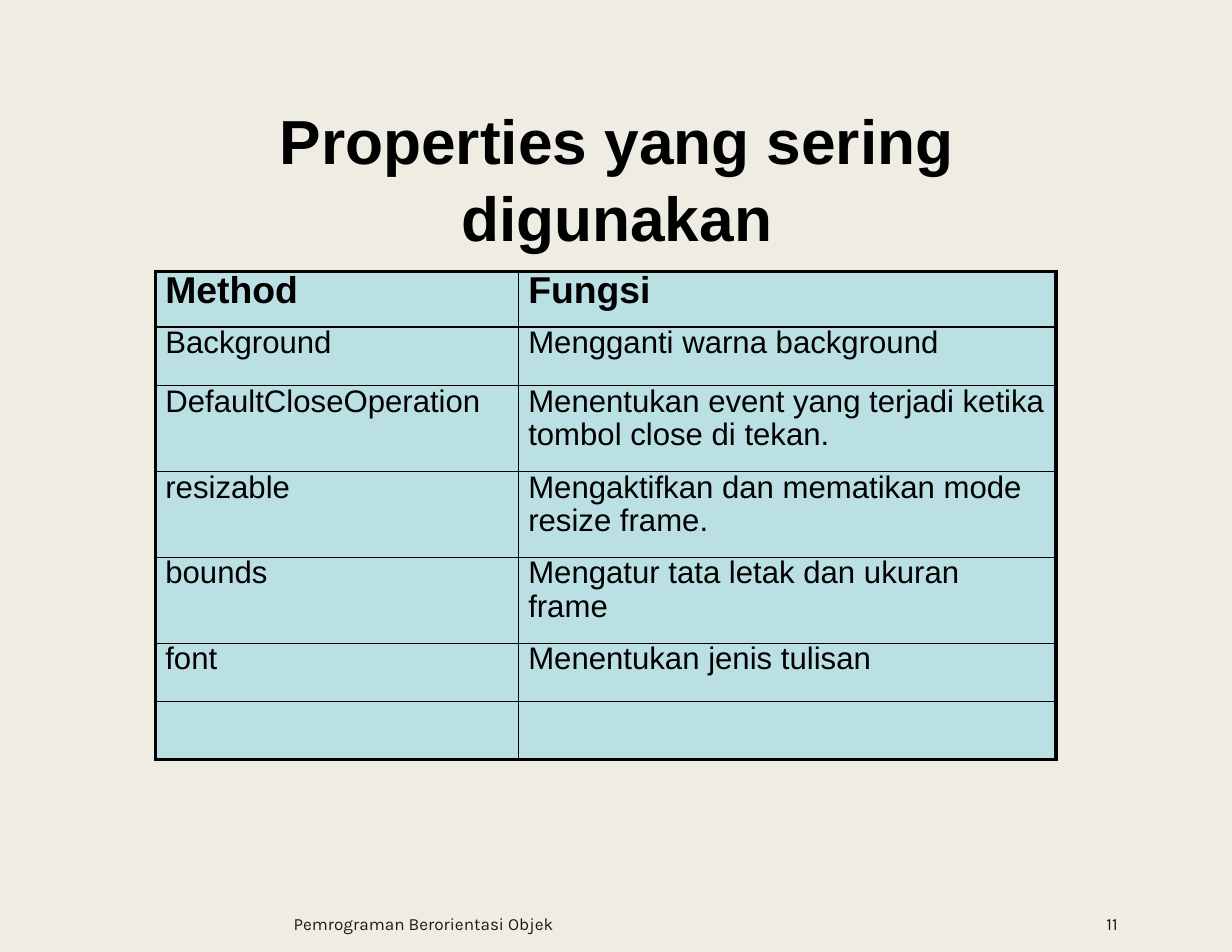
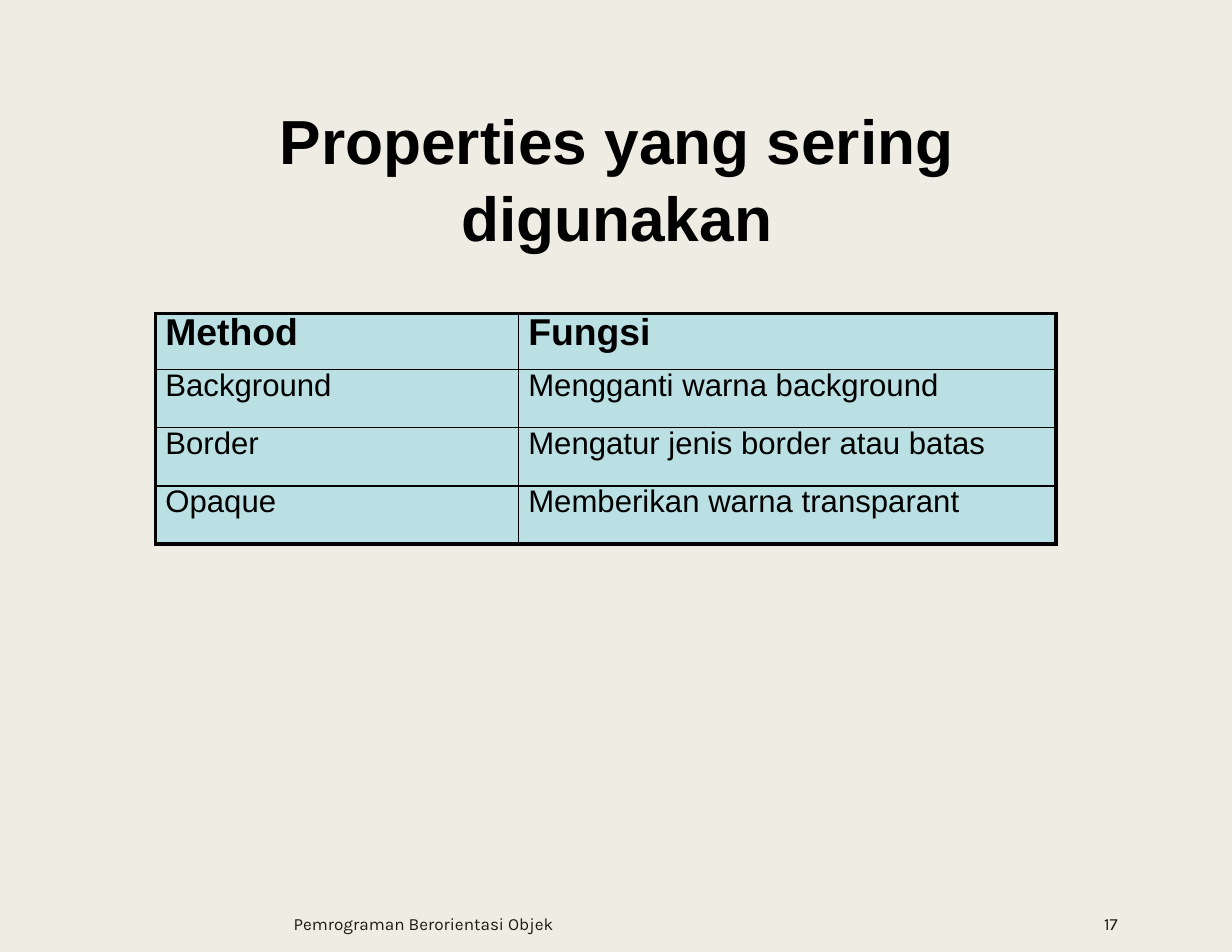
from lxml.etree import SubElement
from pptx import Presentation
from pptx.dml.color import RGBColor
from pptx.enum.text import MSO_ANCHOR, MSO_AUTO_SIZE, PP_ALIGN
from pptx.oxml.ns import qn
from pptx.util import Cm, Pt

TITLE = "Properties yang sering digunakan"
FOOTER = "Pemrograman Berorientasi Objek"
HEADER = ("Method", "Fungsi")
BACKGROUND, CELL_FILL, BLACK, FOOTER_COLOR = "EFEDE3", "BAE0E3", "000000", "191B0E"
OUTER, INNER = 2.38, 1.06  # border widths in points
COL_WIDTHS = (8.23, 12.19)
HEADER_H, SINGLE_H, DOUBLE_H = 1.27, 1.32, 1.95

# page number, table top, rows of (height, method, function)
SLIDES = [
    (11, 6.15, [
        (SINGLE_H, "Background", "Mengganti warna background"),
        (DOUBLE_H, "DefaultCloseOperation",
         "Menentukan event yang terjadi ketika tombol close di tekan."),
        (DOUBLE_H, "resizable", "Mengaktifkan dan mematikan mode resize frame."),
        (DOUBLE_H, "bounds", "Mengatur tata letak dan ukuran frame"),
        (SINGLE_H, "font", "Menentukan jenis tulisan"),
        (SINGLE_H, "", ""),
    ]),
    (17, 7.11, [
        (SINGLE_H, "Background", "Mengganti warna background"),
        (SINGLE_H, "Border", "Mengatur jenis border atau batas"),
        (SINGLE_H, "Opaque", "Memberikan warna transparant"),
    ]),
]


def set_font(p, name, size, color, bold=False):
    p.font.name, p.font.size, p.font.bold = name, Pt(size), bold
    p.font.color.rgb = RGBColor.from_string(color)


def add_border(cell, side, width):
    ln = SubElement(cell._tc.get_or_add_tcPr(), qn(f"a:ln{side}"), w=str(Pt(width)))
    fill = SubElement(ln, qn("a:solidFill"))
    SubElement(fill, qn("a:srgbClr"), val=BLACK)


prs = Presentation()
prs.slide_width, prs.slide_height = Cm(27.94), Cm(21.59)
bg = prs.slide_master.background.fill
bg.solid()
bg.fore_color.rgb = RGBColor.from_string(BACKGROUND)

for number, table_top, body in SLIDES:
    s = prs.slides.add_slide(prs.slide_layouts[5])

    title = s.shapes.title
    title.left, title.top, title.width, title.height = Cm(6.3), Cm(2.18), Cm(15.37), Cm(3.18)
    tf = title.text_frame
    tf.text = TITLE
    tf.auto_size = MSO_AUTO_SIZE.NONE
    tf.vertical_anchor = MSO_ANCHOR.TOP
    tf.margin_left = tf.margin_right = tf.margin_bottom = 0
    tf.margin_top = Cm(0.1)
    p = tf.paragraphs[0]
    p.alignment = PP_ALIGN.CENTER
    p.line_spacing = 1.03
    set_font(p, "Arial", 40, BLACK, bold=True)

    rows = [(HEADER_H, *HEADER), *body]
    table_h = sum(row[0] for row in rows)
    table = s.shapes.add_table(len(rows), len(COL_WIDTHS), Cm(3.53), Cm(table_top),
                               Cm(sum(COL_WIDTHS)), Cm(table_h)).table
    for column, width in zip(table.columns, COL_WIDTHS):
        column.width = Cm(width)
    for i, (height, *texts) in enumerate(rows):
        table.rows[i].height = Cm(height)
        for j, text in enumerate(texts):
            cell = table.cell(i, j)
            cell.text = text
            cell.margin_top = cell.margin_bottom = 0
            cell.margin_left, cell.margin_right = Cm(0.22), Cm(0.24)
            p = cell.text_frame.paragraphs[0]
            p.line_spacing = 0.96
            set_font(p, "Arial", 20 if i else 24, BLACK, bold=i == 0)
            edges = {"L": j == 0, "R": j == len(texts) - 1,
                     "T": i == 0, "B": i == len(rows) - 1}
            for side, is_outer in edges.items():
                add_border(cell, side, OUTER if is_outer else INNER)
            cell.fill.solid()
            cell.fill.fore_color.rgb = RGBColor.from_string(CELL_FILL)

    for left, width, text, align in ((6.66, 14.4, FOOTER, PP_ALIGN.LEFT),
                                     (21.72, 3.63, str(number), PP_ALIGN.RIGHT)):
        tf = s.shapes.add_textbox(Cm(left), Cm(20.32), Cm(width), Cm(1.27)).text_frame
        tf.word_wrap = True
        tf.vertical_anchor = MSO_ANCHOR.MIDDLE
        tf.margin_left = tf.margin_right = tf.margin_top = tf.margin_bottom = 0
        tf.text = text
        p = tf.paragraphs[0]
        p.alignment = align
        set_font(p, "Karla", 11, FOOTER_COLOR)

prs.save("out.pptx")
